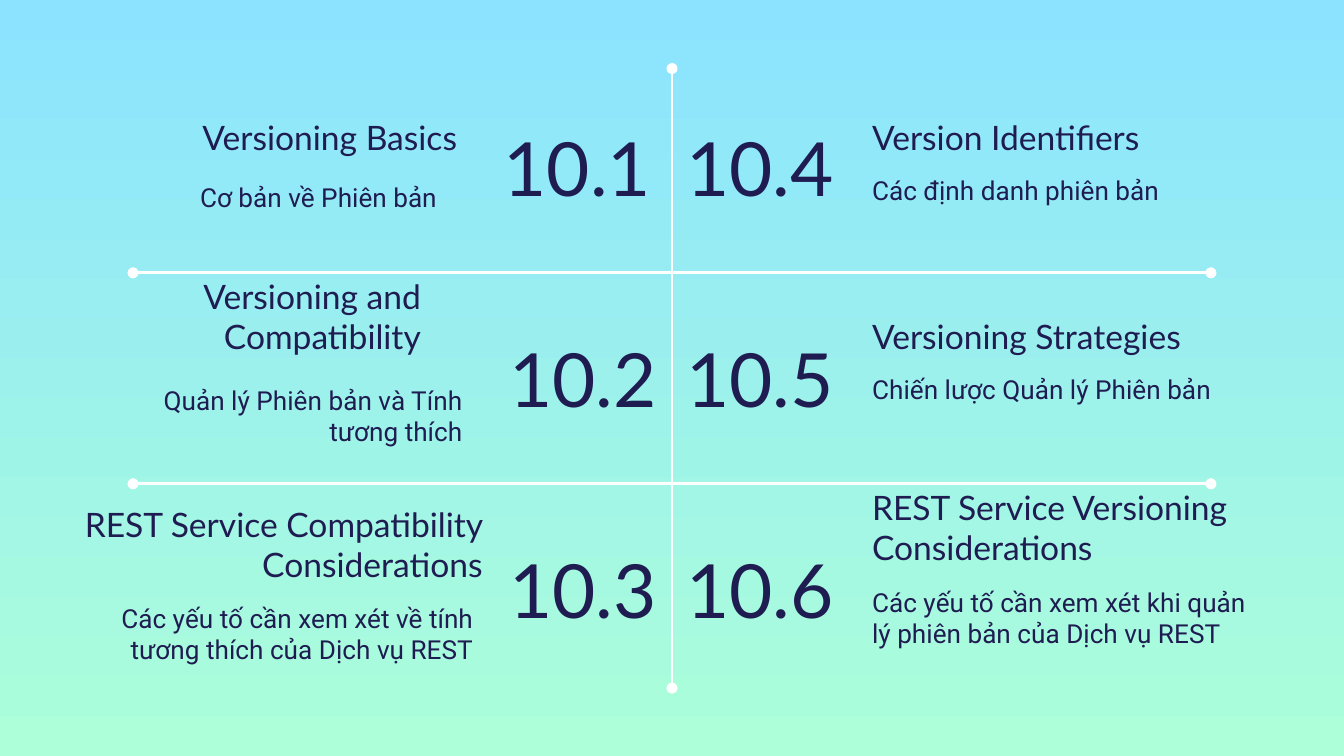
import pptx
import pptx.dml.color
import pptx.enum.shapes
import pptx.enum.text
import pptx.oxml.ns
import pptx.util
from lxml import etree
from pptx.util import Inches

ALIGN = pptx.enum.text.PP_ALIGN
ANCHOR = pptx.enum.text.MSO_ANCHOR
INK = "1F1C51"
WHITE = "FFFFFF"
ROW_TOP = 0.81
ROW_STEP = 1.57

NUMBER = {"name": "Lato", "size": pptx.util.Pt(40)}
HEADING = {"name": "Lato", "size": pptx.util.Pt(18)}
CAPTION = {"name": "Roboto", "size": pptx.util.Pt(14)}

LEFT_TOPICS = [
    ("10.1", 3.65, "Versioning Basics", (0.52, 0.77, 2.98),
     "Cơ bản về Phiên bản", (0.37, 1.25)),
    ("10.2", 3.69, "Versioning and Compatibility", (0.14, 2.25, 3.09),
     "Quản lý Phiên bản và Tính tương thích", (0.56, 2.76)),
    ("10.3", 3.69, "REST Service Compatibility Considerations", (0.22, 3.95, 3.47),
     "Các yếu tố cần xem xét về tính tương thích của Dịch vụ REST", (0.64, 4.38)),
]
RIGHT_TOPICS = [
    ("10.4", 5, "Version Identifiers", (6.39, 0.77, 2.98),
     "Các định danh phiên bản", (6.39, 1.2)),
    ("10.5", 5, "Versioning Strategies", (6.39, 2.25, 2.98),
     "Chiến lược Quản lý Phiên bản", (6.39, 2.68)),
    ("10.6", 5, "REST Service Versioning Considerations", (6.39, 3.82, 2.98),
     "Các yếu tố cần xem xét khi quản lý phiên bản của Dịch vụ REST", (6.39, 4.26)),
]


def rgb(value):
    return pptx.dml.color.RGBColor.from_string(value)


def set_background(s, colors):
    fill = s.background.fill
    fill.gradient()
    fill.gradient_angle = 270
    for stop, color in zip(fill.gradient_stops, colors):
        stop.color.rgb = rgb(color)


def add_text(s, text, box, font, align, anchor):
    sp = s.shapes.add_textbox(*map(Inches, box))
    tf = sp.text_frame
    frame = {"word_wrap": True, "vertical_anchor": anchor}
    for side in ("left", "top", "right", "bottom"):
        frame[f"margin_{side}"] = Inches(0.1)
    for name, value in frame.items():
        setattr(tf, name, value)
    p = tf.paragraphs[0]
    p.alignment = align
    r = p.add_run()
    r.text = text
    for name, value in font.items():
        setattr(r.font, name, value)
    r.font.color.rgb = rgb(INK)


def add_divider(s, x1, y1, x2, y2):
    cxn = s.shapes.add_connector(
        pptx.enum.shapes.MSO_CONNECTOR.STRAIGHT, *map(Inches, (x1, y1, x2, y2)))
    cxn.line.color.rgb = rgb(WHITE)
    cxn.line.width = pptx.util.Pt(1.5)
    qn = pptx.oxml.ns.qn
    sp_pr = cxn._element.spPr
    for end in ("a:headEnd", "a:tailEnd"):
        etree.SubElement(sp_pr.find(qn("a:ln")), qn(end), type="oval")
    etree.SubElement(sp_pr, qn("a:effectLst"))


def add_topics(s, topics, number_align, text_align):
    for row, (number, x, heading, place, caption, corner) in enumerate(topics):
        add_text(s, number, (x, ROW_TOP + row * ROW_STEP, 1.3, 0.86),
                 NUMBER, number_align, ANCHOR.MIDDLE)
        add_text(s, heading, (*place, 0.5), HEADING, text_align, ANCHOR.BOTTOM)
        add_text(s, caption, (*corner, 2.98, 0.69), CAPTION, text_align, ANCHOR.TOP)


def main():
    prs = pptx.Presentation()
    prs.slide_width = Inches(10)
    prs.slide_height = prs.slide_width * 9 // 16
    s = prs.slides.add_slide(prs.slide_layouts[6])
    set_background(s, ("8BE3FF", "ACFFD9"))
    add_divider(s, 5, 0.51, 5, 5.12)
    for y in (2.03, 2.03 + ROW_STEP):
        add_divider(s, 0.99, y, 9.01, y)
    add_topics(s, LEFT_TOPICS, ALIGN.LEFT, ALIGN.RIGHT)
    add_topics(s, RIGHT_TOPICS, ALIGN.RIGHT, ALIGN.LEFT)
    prs.save("out.pptx")


if __name__ == "__main__":
    main()
